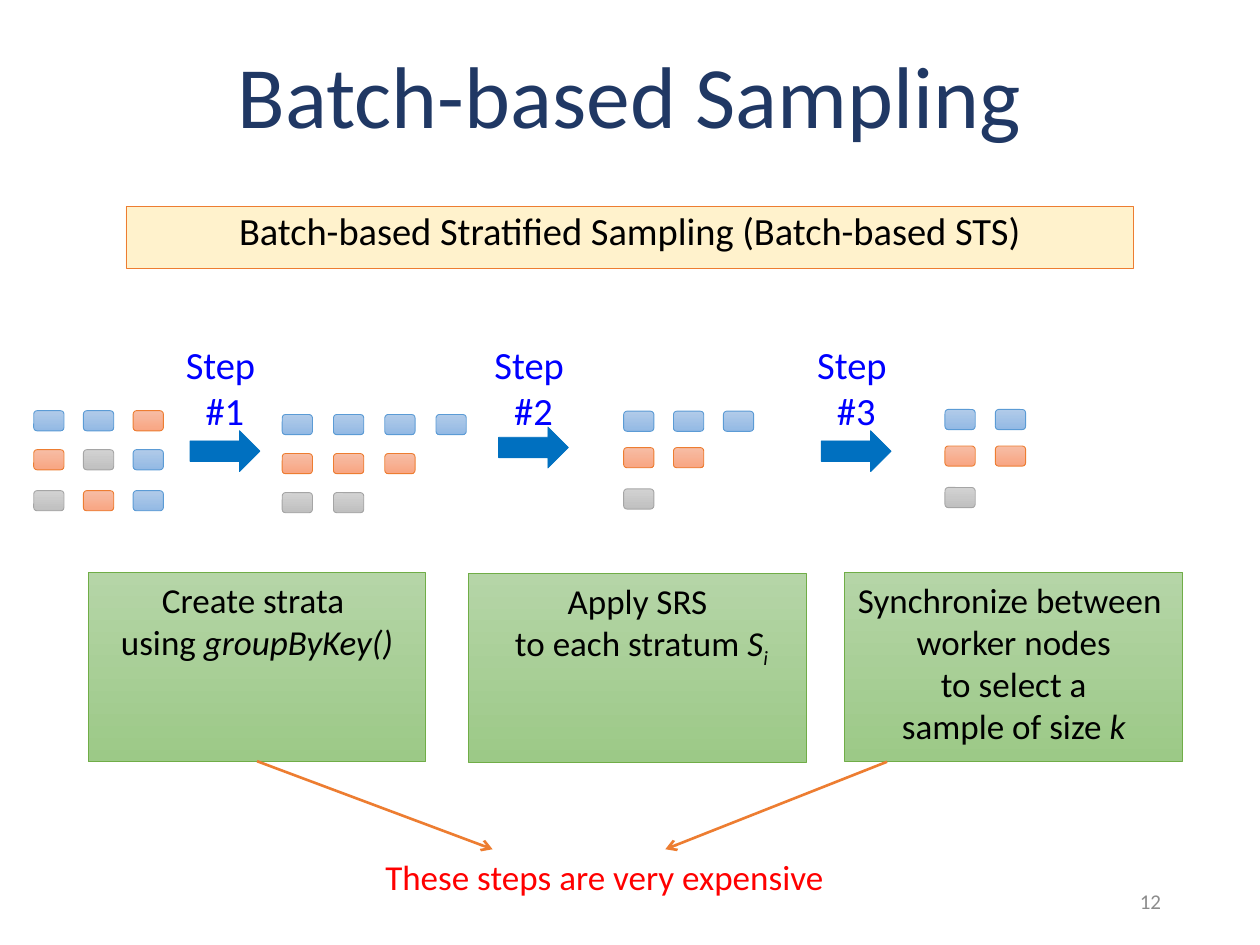
from dataclasses import dataclass

import lxml.etree
import pptx
import pptx.dml.color
import pptx.enum.shapes
import pptx.enum.text
import pptx.oxml.ns
import pptx.util

Pt = pptx.util.Pt
SHAPES = pptx.enum.shapes.MSO_SHAPE
ALIGN = pptx.enum.text.PP_ALIGN
ANCHOR = pptx.enum.text.MSO_ANCHOR

COLORS = {
    "title": "203864", "number": "8C8C8C", "step": "0000FF", "text": "000000",
    "warning": "FF0000", "arrow": "0070C0", "banner": "FFF2CC", "orange": "ED7D31",
}
GRADIENTS = {
    "B": ("B1CBE9", "93B9E4", "5B9BD5"),
    "O": ("F7BDA5", "F8A582", "ED7D31"),
    "G": ("D2D2D2", "C0C0C0", "A5A5A5"),
    "box": ("B5D5A7", "9CC987", "70AD47"),
}
TOKEN_SIZE = (17.3, 11.5)


@dataclass
class Run:
    text: str
    italic: bool = False
    subscript: bool = False


@dataclass
class TokenGrid:
    left: float
    pitch: float
    tops: tuple[float, ...]
    rows: tuple[str, ...]


@dataclass
class Step:
    label: str
    label_left: float
    arrow_left: float
    arrow_top: float
    box_left: float
    box_top: float
    lines: list[list[Run]]


@dataclass
class Pointer:
    start: tuple[float, float]
    end: tuple[float, float]


GRIDS = [
    TokenGrid(19.3, 28.4, (234.7, 257, 280.4), ("BBO", "OGB", "GOB")),
    TokenGrid(161.3, 29.3, (236.9, 259.2, 281.5), ("BBBB", "OOO", "GG")),
    TokenGrid(356.4, 28.5, (235, 255.8, 279.4), ("BBB", "OO", "G")),
    TokenGrid(540, 28.8, (234, 254.9, 278.6), ("BB", "OO", "G")),
]
STEPS = [
    Step("#1", 98.6, 108.7, 246.2, 50.4, 327.3,
         [[Run("Create strata ")], [Run("using "), Run("groupByKey()", True)]]),
    Step("#2", 275, 285, 244.1, 267.8, 327.6,
         [[Run("Apply SRS")],
          [Run(" to each stratum "), Run("S", True), Run("i", True, True)]]),
    Step("#3", 459.4, 469.4, 246.2, 482.8, 327,
         [[Run("Synchronize between ")], [Run("worker nodes")],
          [Run(" to select a ")], [Run("sample of size "), Run("k", True)]]),
]
POINTERS = [
    Pointer((146.9, 435), (281.5, 485.3)),
    Pointer((506.9, 435.3), (380.2, 485.3)),
]


def rgb(value: str) -> pptx.dml.color.RGBColor:
    return pptx.dml.color.RGBColor.from_string(value)


def write(shape, lines: list[list[Run]], size: float, color: str,
          align=ALIGN.CENTER, anchor=ANCHOR.TOP, wrap: bool = True,
          spacing: float | None = None, before: float | None = None) -> None:
    frame = shape.text_frame
    frame.word_wrap = wrap
    frame.vertical_anchor = anchor
    for index, runs in enumerate(lines):
        paragraph = frame.add_paragraph() if index else frame.paragraphs[0]
        paragraph.alignment = align
        if spacing is not None:
            paragraph.line_spacing = spacing
        if before is not None:
            paragraph.space_before = Pt(before)
        for item in runs:
            run = paragraph.add_run()
            run.text = item.text
            run.font.name = "Calibri"
            run.font.size = Pt(size)
            run.font.color.rgb = rgb(COLORS[color])
            run.font.italic = item.italic
            if item.subscript:
                run.font._element.set("baseline", "-25000")


def add_text(slide, left: float, top: float, width: float, height: float):
    return slide.shapes.add_textbox(Pt(left), Pt(top), Pt(width), Pt(height))


def add_filled(slide, kind, left: float, top: float, width: float, height: float,
               fill: str, line: str):
    shape = slide.shapes.add_shape(kind, Pt(left), Pt(top), Pt(width), Pt(height))
    shape.shadow.inherit = False
    if fill in GRADIENTS:
        *stops, outline = GRADIENTS[fill]
        shape.fill.gradient()
        shape.fill.gradient_angle = 270
        for stop, value in zip(shape.fill.gradient_stops, stops):
            stop.color.rgb = rgb(value)
    else:
        outline = COLORS[line]
        shape.fill.solid()
        shape.fill.fore_color.rgb = rgb(COLORS[fill])
    shape.line.color.rgb = rgb(outline)
    shape.line.width = Pt(0.5)
    return shape


def draw_grid(slide, grid: TokenGrid) -> None:
    for top, row in zip(grid.tops, grid.rows):
        for column, kind in enumerate(row):
            add_filled(slide, SHAPES.ROUNDED_RECTANGLE, grid.left + column * grid.pitch,
                       top, *TOKEN_SIZE, kind, kind)


def draw_step(slide, step: Step) -> None:
    add_filled(slide, SHAPES.RIGHT_ARROW, step.arrow_left, step.arrow_top, 39.8, 23.3,
               "arrow", "arrow")
    label = add_text(slide, step.label_left, 191.5, 59.8, 60.5)
    write(label, [[Run("Step ")], [Run(step.label)]], 22, "step", wrap=False)
    box = add_filled(slide, SHAPES.RECTANGLE, step.box_left, step.box_top, 193, 108,
                     "box", "box")
    write(box, step.lines, 20, "text")


def draw_pointer(slide, pointer: Pointer) -> None:
    ends = [Pt(value) for value in pointer.start + pointer.end]
    connector = slide.shapes.add_connector(
        pptx.enum.shapes.MSO_CONNECTOR.STRAIGHT, *ends)
    connector.line.color.rgb = rgb(COLORS["orange"])
    connector.line.width = Pt(1.5)
    qn = pptx.oxml.ns.qn
    outline = connector.line._get_or_add_ln()
    lxml.etree.SubElement(outline, qn("a:tailEnd"), type="arrow")
    lxml.etree.SubElement(connector._element.spPr, qn("a:effectLst"))


presentation = pptx.Presentation()
presentation.slide_width = Pt(720)
presentation.slide_height = Pt(540)
slide = presentation.slides.add_slide(presentation.slide_layouts[6])

title = add_text(slide, 49.5, 21.6, 621, 71.3)
write(title, [[Run("Batch-based Sampling")]], 50, "title",
      anchor=ANCHOR.MIDDLE, spacing=0.9)
number = add_text(slide, 508.5, 500.5, 162, 28.8)
write(number, [[Run("12")]], 12, "number", ALIGN.RIGHT, ANCHOR.MIDDLE)

banner = add_filled(slide, SHAPES.RECTANGLE, 72, 118, 576, 35.3, "banner", "orange")
write(banner, [[Run("Batch-based Stratified Sampling (Batch-based STS)")]], 22, "text",
      spacing=0.9, before=10)

for grid in GRIDS:
    draw_grid(slide, grid)
for step in STEPS:
    draw_step(slide, step)
for pointer in POINTERS:
    draw_pointer(slide, pointer)

warning = add_text(slide, 213.1, 485.3, 333.4, 31.5)
write(warning, [[Run("These steps are very expensive")]], 20, "warning", ALIGN.LEFT)

presentation.save("out.pptx")
